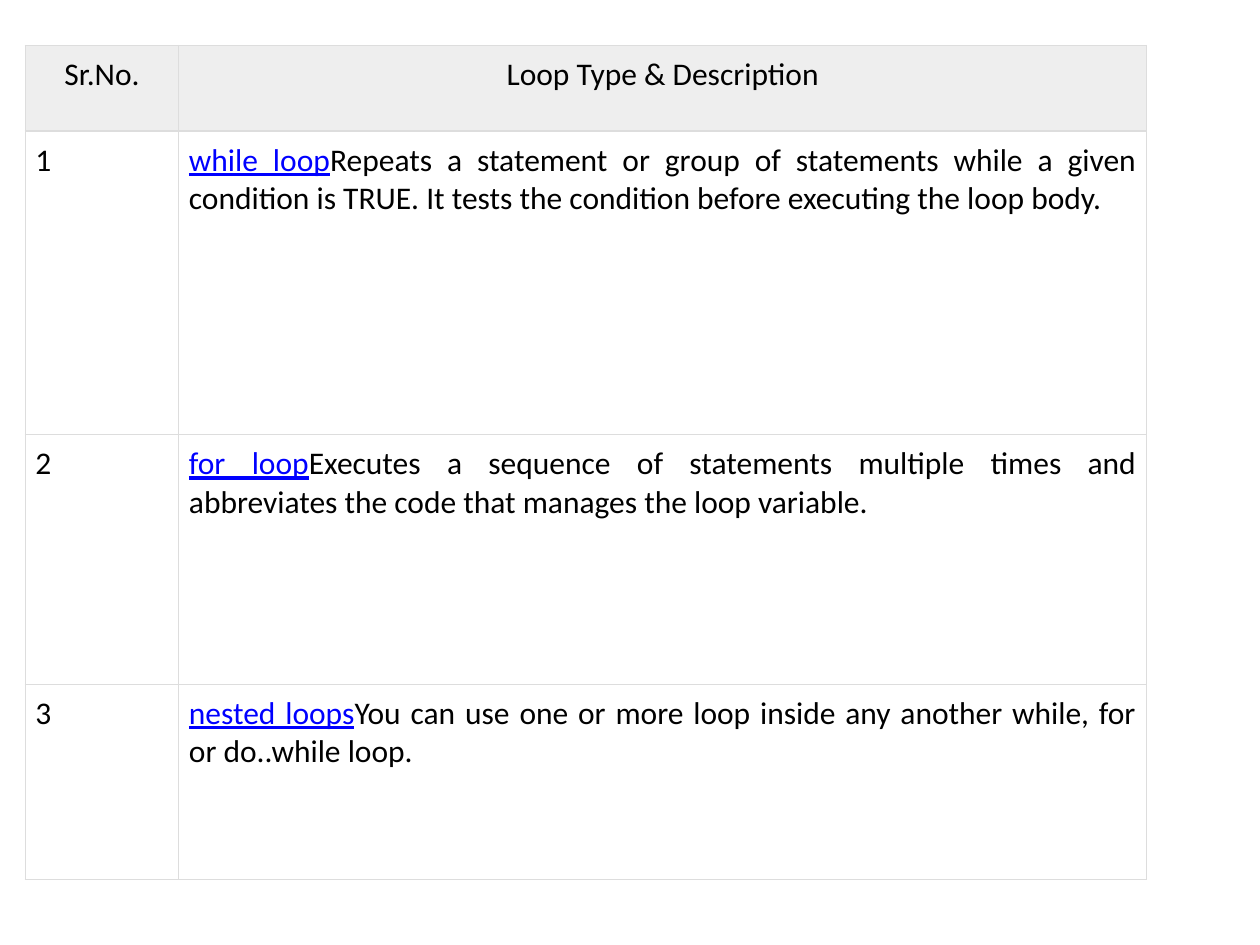
from lxml.etree import SubElement
from pptx import Presentation
from pptx.dml.color import RGBColor
from pptx.enum.text import PP_ALIGN as Align
from pptx.oxml.ns import qn
from pptx.util import Inches, Pt

COLORS = {"text": "000000", "link": "0000FF", "header": "EEEEEE", "border": "DDDDDD"}
COLUMN_WIDTHS = [1.22, 7.68]
ROW_HEIGHTS = [0.68, 2.41, 1.98, 1.55]
HEADINGS = ["Sr.No.", "Loop Type & Description"]
LOOPS = [
    ("while loop", "Repeats a statement or group of statements while a given condition "
                   "is TRUE. It tests the condition before executing the loop body."),
    ("for loop", "Executes a sequence of statements multiple times and abbreviates "
                 "the code that manages the loop variable."),
    ("nested loops", "You can use one or more loop inside any another while, for "
                     "or do..while loop."),
]


class SlideBuilder:
    """Holds the text style and the current slide."""

    def __init__(self, slide, font="Calibri", size=18, inset=0.08):
        """Store the slide and its style."""
        self.slide, self.font, self.size, self.inset = slide, font, size, inset

    def table(self, left, top, widths, heights):
        """Add an empty table with the given column widths and row heights."""
        frame = self.slide.shapes.add_table(
            len(heights), len(widths), Inches(left), Inches(top),
            Inches(sum(widths)), Inches(sum(heights)))
        table = frame.table
        table.first_row = table.horz_banding = False
        for column, width in zip(table.columns, widths):
            column.width = Inches(width)
        for row, height in zip(table.rows, heights):
            row.height = Inches(height)
        return table

    def borders(self, cell):
        """Draw a thin line on all four sides of a cell."""
        properties = cell._tc.get_or_add_tcPr()
        for side in ("lnL", "lnR", "lnT", "lnB"):
            line = SubElement(properties, qn(f"a:{side}"), w=str(Pt(0.75)))
            fill = SubElement(line, qn("a:solidFill"))
            SubElement(fill, qn("a:srgbClr"), val=COLORS["border"])

    def cell(self, cell, runs, align=Align.LEFT, fill=None):
        """Style a cell and fill it with (text, colour name) runs."""
        self.borders(cell)
        if fill:
            cell.fill.solid()
            cell.fill.fore_color.rgb = RGBColor.from_string(COLORS[fill])
        else:
            cell.fill.background()
        cell.margin_left = cell.margin_right = Inches(self.inset)
        cell.margin_top = cell.margin_bottom = Inches(self.inset)
        paragraph = cell.text_frame.paragraphs[0]
        paragraph.alignment = align
        for text, color in runs:
            run = paragraph.add_run()
            run.text = text
            run.font.name, run.font.size = self.font, Pt(self.size)
            run.font.bold = False
            run.font.underline = color == "link"
            run.font.color.rgb = RGBColor.from_string(COLORS[color])


def main():
    """Build the loop type table and save the presentation."""
    presentation = Presentation()
    presentation.slide_width, presentation.slide_height = Inches(10), Inches(7.5)
    slide = presentation.slides.add_slide(presentation.slide_layouts[6])
    builder = SlideBuilder(slide)
    table = builder.table(0.2, 0.36, COLUMN_WIDTHS, ROW_HEIGHTS)
    for column, heading in enumerate(HEADINGS):
        builder.cell(table.cell(0, column), [(heading, "text")], Align.CENTER, "header")
    for number, (name, description) in enumerate(LOOPS, start=1):
        builder.cell(table.cell(number, 0), [(str(number), "text")])
        builder.cell(table.cell(number, 1),
                     [(name, "link"), (description, "text")], Align.JUSTIFY)
    presentation.save("out.pptx")


main()
